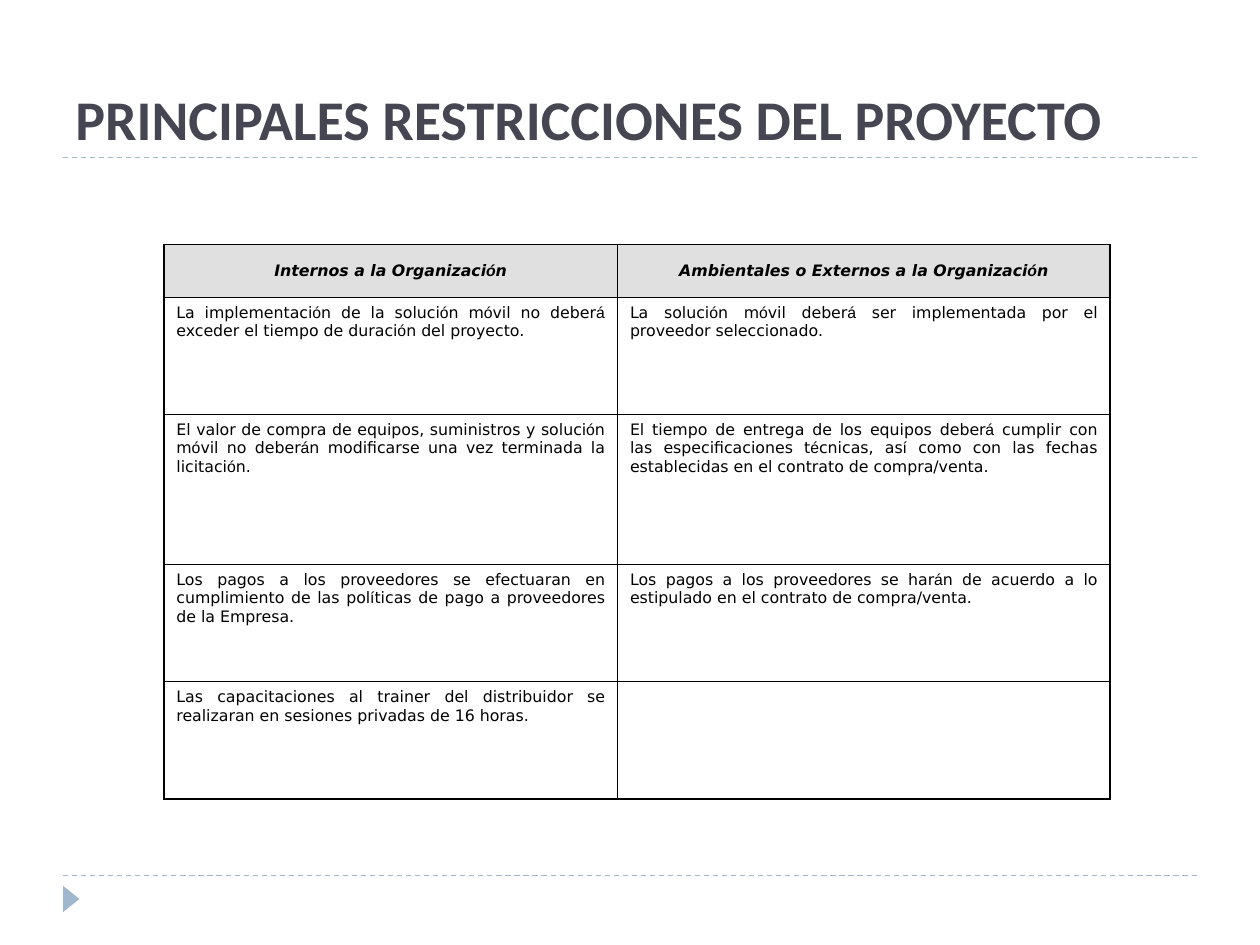
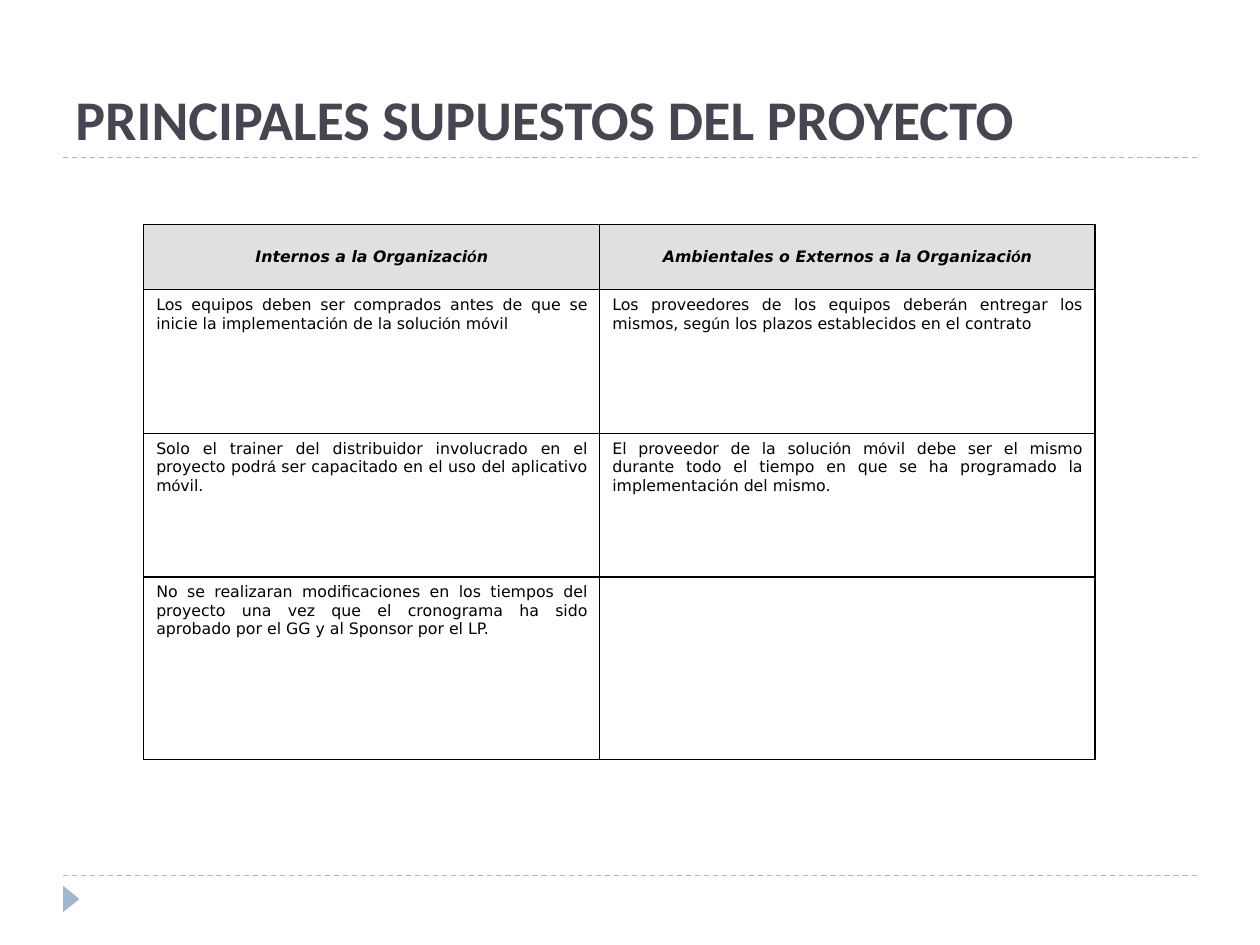
from itertools import groupby

from lxml import etree
from pptx import Presentation
from pptx.dml.color import RGBColor
from pptx.enum.dml import MSO_LINE
from pptx.enum.shapes import MSO_CONNECTOR, MSO_SHAPE
from pptx.enum.text import MSO_ANCHOR, PP_ALIGN
from pptx.oxml.ns import qn
from pptx.util import Pt

PX = 9144
DASH = MSO_LINE.DASH
LINE = MSO_CONNECTOR.STRAIGHT
TRIANGLE = MSO_SHAPE.ISOSCELES_TRIANGLE
TOP, MIDDLE, BOTTOM = MSO_ANCHOR.TOP, MSO_ANCHOR.MIDDLE, MSO_ANCHOR.BOTTOM
CENTER, JUSTIFY = PP_ALIGN.CENTER, PP_ALIGN.JUSTIFY

COLORS = {
    "title": "464653",
    "accent": "9FB8CD",
    "head": "E0E0E0",
    "cell": "FFFFFF",
    "ink": "000000",
}
TITLE_FONT, BODY_FONT, ACCENT_FONT = "Calibri", "DejaVu Sans", "Arial"
ACCENTS = "áéíóú"
HEADS = ("Internos a la Organización", "Ambientales o Externos a la Organización")

LIMITS = {
    "title": "PRINCIPALES RESTRICCIONES DEL PROYECTO",
    "left": 130, "top": 194,
    "widths": (360, 391),
    "heights": (42, 93, 119, 93, 93),
    "rows": (
        HEADS,
        ("La implementación de la solución móvil no deberá exceder el tiempo de "
         "duración del proyecto.",
         "La solución móvil deberá ser implementada por el proveedor seleccionado."),
        ("El valor de compra de equipos, suministros y solución móvil no deberán "
         "modificarse una vez terminada la licitación.",
         "El tiempo de entrega de los equipos deberá cumplir con las "
         "especificaciones técnicas, así como con las fechas establecidas en el "
         "contrato de compra/venta."),
        ("Los pagos a los proveedores se efectuaran en cumplimiento de las "
         "políticas de pago a proveedores de la Empresa.",
         "Los pagos a los proveedores se harán de acuerdo a lo estipulado en el "
         "contrato de compra/venta."),
        ("Las capacitaciones al trainer del distribuidor se realizaran en "
         "sesiones privadas de 16 horas.", ""),
    ),
}
PREMISES = {
    "title": "PRINCIPALES SUPUESTOS DEL PROYECTO",
    "left": 114, "top": 178,
    "widths": (362, 393),
    "heights": (52, 114, 114, 145),
    "rows": (
        HEADS,
        ("Los equipos deben ser comprados antes de que se inicie la "
         "implementación de la solución móvil",
         "Los proveedores de los equipos deberán entregar los mismos, según los "
         "plazos establecidos en el contrato"),
        ("Solo el trainer del distribuidor involucrado en el proyecto podrá ser "
         "capacitado en el uso del aplicativo móvil.",
         "El proveedor de la solución móvil debe ser el mismo durante todo el "
         "tiempo en que se ha programado la implementación del mismo."),
        ("No se realizaran modificaciones en los tiempos del proyecto una vez que "
         "el cronograma ha sido aprobado por el GG y al Sponsor por el LP.", ""),
    ),
}


def color(name):
    """Return the named colour."""
    return RGBColor.from_string(COLORS[name])


def box(*sizes):
    """Turn px lengths into EMU."""
    return [size * PX for size in sizes]


def style(run, font, size, ink, bold=False, italic=False):
    """Set the look of a run."""
    run.font.name = font
    run.font.size = Pt(size)
    run.font.color.rgb = color(ink)
    run.font.bold = bold
    run.font.italic = italic


def add_rule(slide, y):
    """Draw a dashed line across the slide."""
    rule = slide.shapes.add_connector(LINE, *box(50, y, 950, y))
    rule.line.color.rgb = color("accent")
    rule.line.width = Pt(0.75)
    rule.line.dash_style = DASH
    etree.SubElement(rule._element.spPr, qn("a:effectLst"))


def add_marker(slide):
    """Draw the footer triangle that points right."""
    mark = slide.shapes.add_shape(TRIANGLE, *box(46, 707, 21, 13))
    mark.rotation = 90
    mark.shadow.inherit = False
    mark.fill.solid()
    mark.fill.fore_color.rgb = color("accent")
    mark.line.fill.background()


def add_title(slide, text):
    """Write the slide title above the upper rule."""
    frame = slide.shapes.add_textbox(*box(50, 17, 900, 108)).text_frame
    frame.word_wrap = True
    frame.vertical_anchor = BOTTOM
    frame.text = text
    style(frame.paragraphs[0].runs[0], TITLE_FONT, 32, "title", bold=True)


def add_borders(cell):
    """Give a cell a thin solid line on all four sides."""
    props = cell._tc.get_or_add_tcPr()
    for side in ("lnL", "lnR", "lnT", "lnB"):
        edge = etree.SubElement(props, qn(f"a:{side}"), w=str(Pt(1)))
        fill = etree.SubElement(edge, qn("a:solidFill"))
        etree.SubElement(fill, qn("a:srgbClr"), val=COLORS["ink"])


def fill_cell(cell, text, head):
    """Format a cell and write its text, with accented letters in their own font."""
    add_borders(cell)
    cell.fill.solid()
    cell.fill.fore_color.rgb = color("head" if head else "cell")
    cell.vertical_anchor = MIDDLE if head else TOP
    para = cell.text_frame.paragraphs[0]
    para.alignment = CENTER if head else JUSTIFY
    for accent, chars in groupby(text, lambda char: char in ACCENTS):
        run = para.add_run()
        run.text = "".join(chars)
        style(run, ACCENT_FONT if accent else BODY_FONT, 9, "ink", head, head)


def add_grid(slide, data):
    """Build the two-column table."""
    rows, widths, heights = data["rows"], data["widths"], data["heights"]
    place = box(data["left"], data["top"], sum(widths), sum(heights))
    grid = slide.shapes.add_table(len(rows), len(widths), *place).table
    for column, width in zip(grid.columns, widths):
        column.width = width * PX
    for row, height in zip(grid.rows, heights):
        row.height = height * PX
    for r, texts in enumerate(rows):
        for c, text in enumerate(texts):
            fill_cell(grid.cell(r, c), text, r == 0)


def add_page(deck, data):
    """Add one slide with its frame, title and table."""
    slide = deck.slides.add_slide(deck.slide_layouts[6])
    for y in (695, 125):
        add_rule(slide, y)
    add_marker(slide)
    add_title(slide, data["title"])
    add_grid(slide, data)


def main():
    """Build and save the deck."""
    deck = Presentation()
    deck.slide_width, deck.slide_height = box(1000, 750)
    for data in (LIMITS, PREMISES):
        add_page(deck, data)
    deck.save("out.pptx")


if __name__ == "__main__":
    main()
